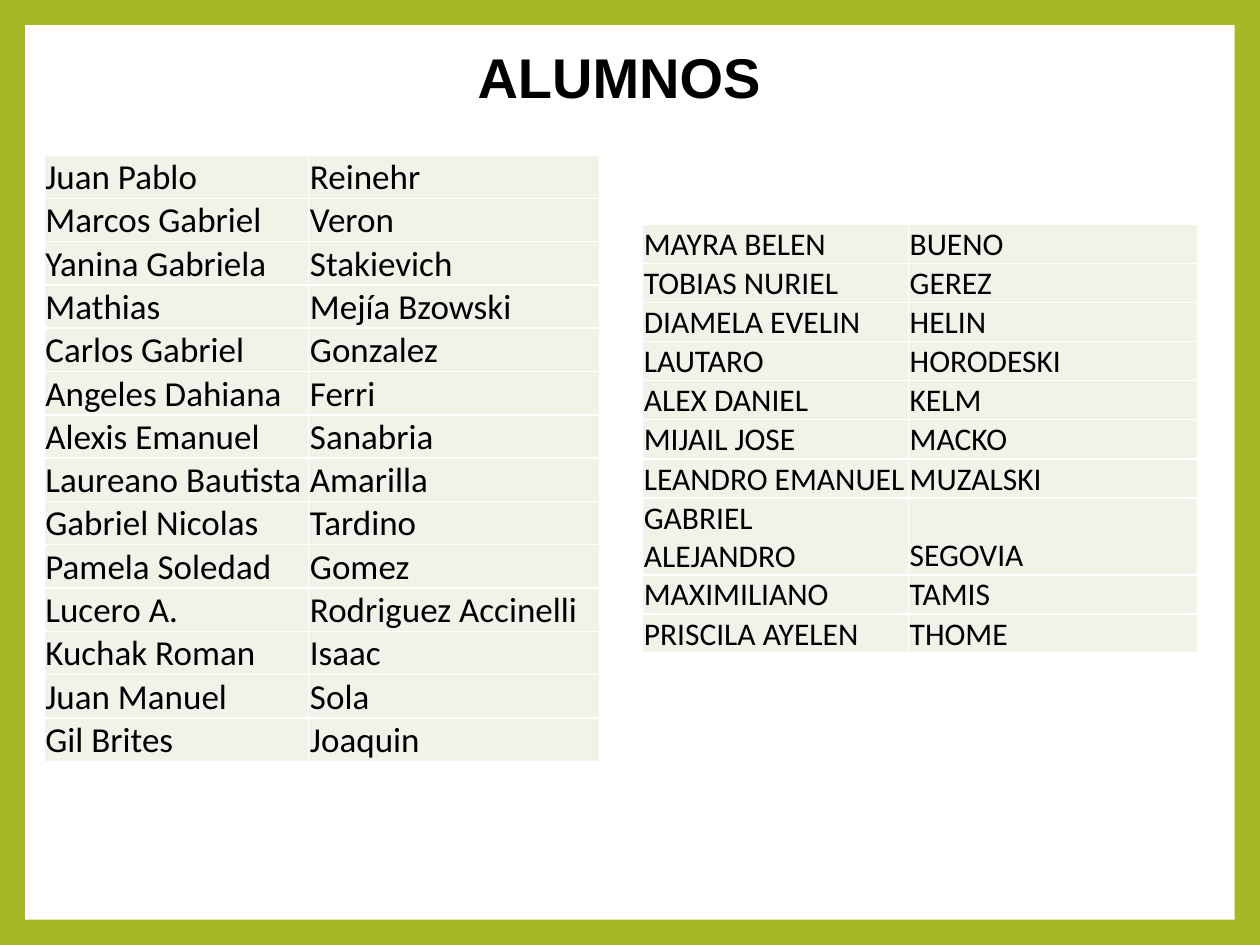
from dataclasses import dataclass

from lxml.etree import SubElement
from pptx import Presentation
from pptx.dml.color import RGBColor
from pptx.enum.shapes import MSO_SHAPE
from pptx.enum.text import MSO_ANCHOR, PP_ALIGN
from pptx.oxml.ns import qn
from pptx.util import Inches, Pt

LIME, WHITE, BLACK, PALE = "A6B727", "FFFFFF", "000000", "F1F3E8"


@dataclass
class Roster:
    left: float
    top: float
    height: float
    widths: tuple[float, float]
    size: int
    names: list[tuple[str, str]]
    first: float = 0.22  # height of the top row
    row: float = 0.22  # least height of the others


ROSTERS = [
    Roster(0.35, 1.23, 5.1, (2.1, 2.31), 20, [
        ("Juan Pablo", "Reinehr"),
        ("Marcos Gabriel", "Veron"),
        ("Yanina Gabriela", "Stakievich"),
        ("Mathias", "Mejía Bzowski"),
        ("Carlos Gabriel", "Gonzalez"),
        ("Angeles Dahiana", "Ferri"),
        ("Alexis Emanuel", "Sanabria"),
        ("Laureano Bautista", "Amarilla"),
        ("Gabriel Nicolas", "Tardino"),
        ("Pamela Soledad", "Gomez"),
        ("Lucero A.", "Rodriguez Accinelli"),
        ("Kuchak Roman", "Isaac"),
        ("Juan Manuel", "Sola"),
        ("Gil Brites", "Joaquin"),
    ]),
    Roster(5.1, 1.78, 3.67, (2.11, 2.3), 18, [
        ("MAYRA BELEN", "BUENO"),
        ("TOBIAS NURIEL", "GEREZ"),
        ("DIAMELA EVELIN", "HELIN"),
        ("LAUTARO", "HORODESKI"),
        ("ALEX DANIEL", "KELM"),
        ("MIJAIL JOSE", "MACKO"),
        ("LEANDRO EMANUEL", "MUZALSKI"),
        ("GABRIEL ALEJANDRO", "SEGOVIA"),
        ("MAXIMILIANO", "TAMIS"),
        ("PRISCILA AYELEN", "THOME"),
    ], first=0.16),
]


def paint(fill, color: str) -> None:
    fill.solid()
    fill.fore_color.rgb = RGBColor.from_string(color)


def write(par, text: str, size: int, face: str, bold: bool = False) -> None:
    run = par.add_run()
    run.text = text
    run.font.size = Pt(size)
    run.font.name = face
    run.font.bold = bold
    run.font.color.rgb = RGBColor.from_string(BLACK)


def border(cell, color: str) -> None:
    """Draw a one-point line on each side; call before the cell is filled."""
    props = cell._tc.get_or_add_tcPr()
    for side in ("a:lnL", "a:lnR", "a:lnT", "a:lnB"):
        line = SubElement(props, qn(side), w=str(Pt(1)))
        fill = SubElement(line, qn("a:solidFill"))
        SubElement(fill, qn("a:srgbClr"), val=color)


def draw_cell(cell, text: str, size: int) -> None:
    cell.margin_left = cell.margin_right = cell.margin_top = Inches(0.01)
    cell.margin_bottom = 0
    cell.vertical_anchor = MSO_ANCHOR.BOTTOM
    border(cell, WHITE)
    paint(cell.fill, PALE)
    write(cell.text_frame.paragraphs[0], text, size, "Calibri")


def draw_roster(slide, roster: Roster) -> None:
    frame = slide.shapes.add_table(
        len(roster.names), 2, Inches(roster.left), Inches(roster.top),
        Inches(sum(roster.widths)), Inches(roster.height))
    table = frame.table
    table.first_row = table.horz_banding = False
    for col, width in zip(table.columns, roster.widths):
        col.width = Inches(width)
    for i, (row, pair) in enumerate(zip(table.rows, roster.names)):
        row.height = Inches(roster.row if i else roster.first)
        for cell, text in zip(row.cells, pair):
            draw_cell(cell, text, roster.size)
    frame.height = Inches(roster.height)


def main() -> None:
    deck = Presentation()
    deck.slide_width, deck.slide_height = Inches(10), Inches(7.5)
    slide = deck.slides.add_slide(deck.slide_layouts[6])

    # Lime frame around a white panel
    paint(slide.background.fill, LIME)
    panel = slide.shapes.add_shape(
        MSO_SHAPE.RECTANGLE, Inches(0.2), Inches(0.2), Inches(9.6), Inches(7.1))
    panel.shadow.inherit = False
    paint(panel.fill, WHITE)
    panel.line.fill.background()

    # Title
    box = slide.shapes.add_textbox(
        Inches(0.35), Inches(0.29), Inches(9.13), Inches(0.64))
    box.text_frame.word_wrap = True
    title = box.text_frame.paragraphs[0]
    title.alignment = PP_ALIGN.CENTER
    write(title, "ALUMNOS", 32, "Arial", bold=True)

    # Student lists
    for roster in ROSTERS:
        draw_roster(slide, roster)

    deck.save("out.pptx")


if __name__ == "__main__":
    main()
